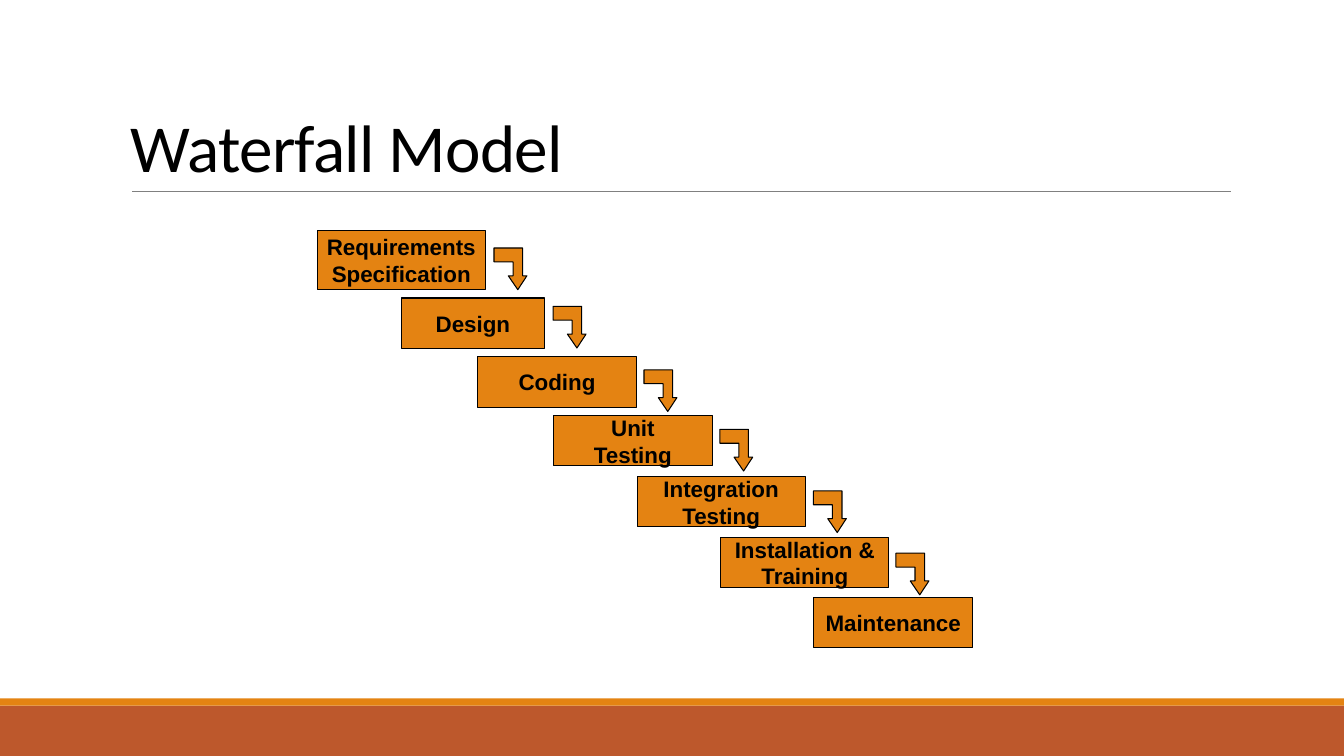
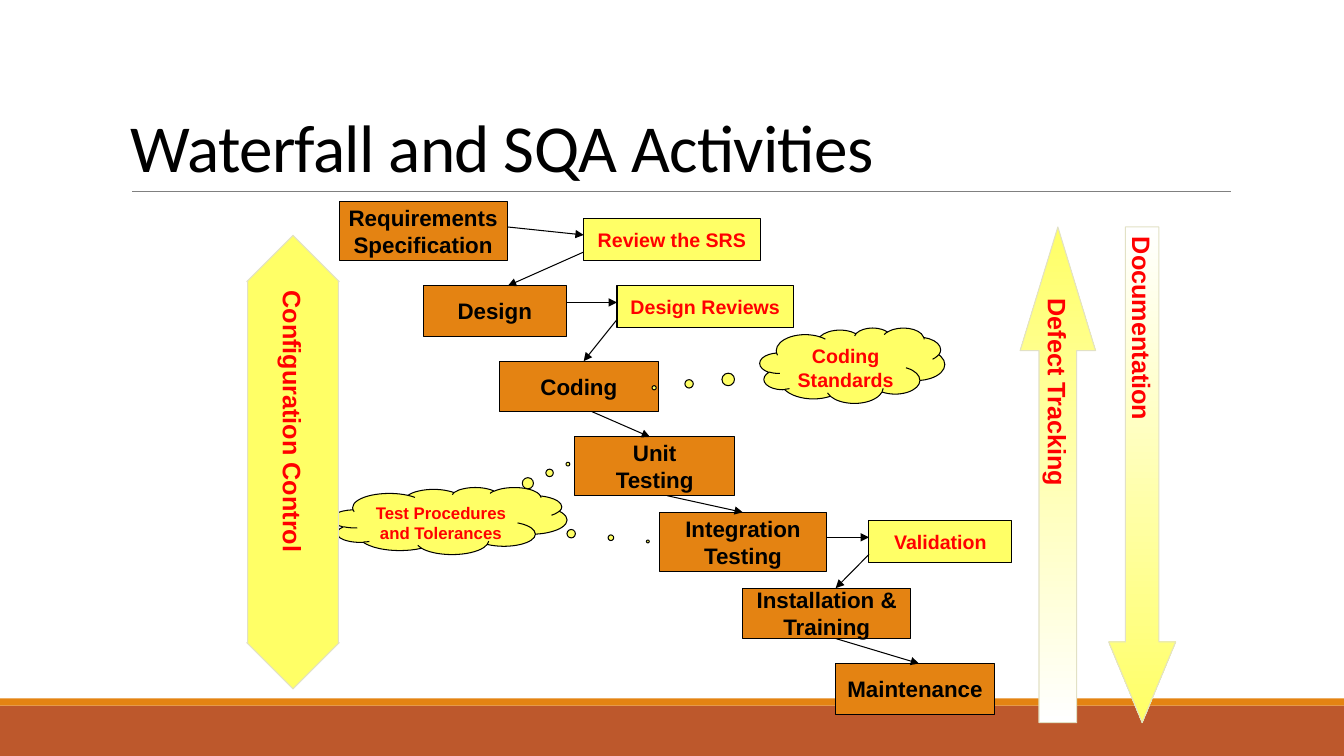
from dataclasses import dataclass
from typing import Optional

from lxml.etree import SubElement
from pptx import Presentation
from pptx.dml.color import RGBColor
from pptx.enum.shapes import MSO_CONNECTOR, MSO_SHAPE as SHAPE
from pptx.enum.text import MSO_ANCHOR as ANCHOR, PP_ALIGN as ALIGN
from pptx.oxml.ns import qn
from pptx.util import Cm, Pt

BLACK = RGBColor(0x00, 0x00, 0x00)
WHITE = RGBColor(0xFF, 0xFF, 0xFF)
GRAY = RGBColor(0x80, 0x80, 0x80)
RED = RGBColor(0xFF, 0x00, 0x00)
ORANGE = RGBColor(0xE4, 0x83, 0x12)
RUST = RGBColor(0xBD, 0x58, 0x2C)
YELLOW = RGBColor(0xFF, 0xFF, 0x66)
PALE = RGBColor(0xE2, 0xE1, 0xC5)

WIDTH, HEIGHT = 33.87, 19.05
LOW, TALL = 1.27, 1.48  # stage box heights


@dataclass(frozen=True)
class Box:
    """A preset shape with its text; lengths in centimetres."""
    left: float
    top: float
    width: float
    height: float
    text: str = ""
    kind: SHAPE = SHAPE.RECTANGLE
    adj: tuple[float, ...] = ()
    size: float = 14
    gradient: Optional[tuple[RGBColor, RGBColor]] = None


@dataclass(frozen=True)
class Stage:
    text: str
    left: float
    width: float


STAGES = [
    Stage("Requirements\nSpecification", 8, 4.23),
    Stage("Design", 10.12, 3.6),
    Stage("Coding", 12.03, 4.02),
    Stage("Unit\nTesting", 13.94, 4.02),
    Stage("Integration\nTesting", 16.06, 4.23),
    Stage("Installation &\nTraining", 18.17, 4.23),
    Stage("Maintenance", 20.5, 4.02),
]

MODEL_ROWS = [(5.82, TALL), (7.51, LOW), (8.99, LOW), (10.47, LOW),
              (12.01, LOW), (13.54, LOW), (15.06, LOW)]
SQA_SHIFT = 0.55
SQA_ROWS = [(5.08, TALL)] + [
    (7.2 + 1.905 * i, h) for i, h in enumerate([LOW, LOW, TALL, TALL, LOW, LOW])]

ELBOW = [(0, 0), (0.72, 0), (0.72, 0.7), (0.83, 0.7), (0.6, 1.05),
         (0.36, 0.7), (0.48, 0.7), (0.48, 0.35), (0, 0.35)]
ELBOW_CORNERS = [(12.45, 6.25), (13.94, 7.72), (16.23, 9.32),
                 (18.14, 10.82), (20.5, 12.37), (22.58, 13.94)]

REVIEWS = [
    Box(14.71, 5.5, 4.45, 1.06, "Review the SRS"),
    Box(15.55, 7.2, 4.45, 1.06, "Design Reviews"),
    Box(21.9, 13.12, 3.6, 1.06, "Validation"),
]
BACK_CLOUD = Box(8.76, 12.49, 4.87, 1.27, kind=SHAPE.CLOUD_CALLOUT, adj=(1.054, 0.41))
CLOUDS = [
    Box(19.15, 8.26, 4.66, 1.9, "Coding\nStandards", SHAPE.CLOUD_CALLOUT,
        (-1.072, 0.296)),
    Box(8.36, 12.28, 5.93, 1.69, "Test Procedures\nand Tolerances",
        SHAPE.CLOUD_CALLOUT, (0.504, -0.846), size=12),
]
SPANS = [
    Box(6.22, 5.93, 2.33, 11.43, "Configuration Control", SHAPE.UP_DOWN_ARROW,
        (0.5, 0.982), 18),
    Box(27.94, 5.72, 1.69, 12.49, "Documentation", SHAPE.DOWN_ARROW,
        (0.5, 1.203), 18, (WHITE, YELLOW)),
    Box(25.71, 5.72, 1.9, 12.49, "Defect Tracking", SHAPE.UP_ARROW,
        (0.5, 1.639), 18, (YELLOW, WHITE)),
]
FLOWS = [
    (12.8, 5.72, 14.71, 5.92), (14.71, 6.35, 12.8, 7.2),
    (14.27, 7.62, 15.55, 7.62), (15.55, 8.05, 14.71, 9.1),
    (14.91, 10.37, 16.38, 11.01), (16.81, 12.49, 18.72, 12.91),
    (20.83, 13.54, 21.9, 13.54), (21.9, 13.97, 21.06, 14.82),
    (21.06, 16.09, 23.16, 16.72),
]


def write(s, text: str, *, size: float, color: RGBColor, font: str = "Arial",
          bold: bool = True, align=ALIGN.CENTER, anchor=ANCHOR.MIDDLE,
          wrap: bool = False, vertical: bool = False,
          spacing: Optional[float] = None, tracking: Optional[int] = None) -> None:
    """Fill a shape with one paragraph per line; tracking in 1/100 pt."""
    tf = s.text_frame
    tf.word_wrap = wrap
    tf.vertical_anchor = anchor
    if vertical:
        tf._txBody.bodyPr.set("vert", "eaVert")
    for i, line in enumerate(text.split("\n")):
        p = tf.add_paragraph() if i else tf.paragraphs[0]
        p.alignment = align
        if spacing:
            p.line_spacing = spacing
        r = p.add_run()
        r.text = line
        r.font.name, r.font.size, r.font.bold = font, Pt(size), bold
        r.font.color.rgb = color
        if tracking:
            r._r.get_or_add_rPr().set("spc", str(tracking))


def paint(s, fill: RGBColor, line: Optional[RGBColor]) -> None:
    s.shadow.inherit = False
    s.fill.solid()
    s.fill.fore_color.rgb = fill
    if line is None:
        s.line.fill.background()
    else:
        s.line.color.rgb = line
        s.line.width = Pt(0.75)


def add_box(slide, box: Box, fill: RGBColor, line: Optional[RGBColor] = BLACK):
    s = slide.shapes.add_shape(box.kind, Cm(box.left), Cm(box.top),
                               Cm(box.width), Cm(box.height))
    for i, value in enumerate(box.adj):
        s.adjustments[i] = value
    paint(s, fill, line)
    if box.gradient:
        s.fill.gradient()
        s.fill.gradient_angle = 270
        for stop, color in zip(s.fill.gradient_stops, box.gradient):
            stop.color.rgb = color
    return s


def add_line(slide, ends: tuple[float, float, float, float], color: RGBColor = BLACK,
             width: float = 0.75, arrow: bool = True) -> None:
    s = slide.shapes.add_connector(MSO_CONNECTOR.STRAIGHT, *map(Cm, ends))
    s.line.color.rgb = color
    s.line.width = Pt(width)
    if arrow:
        SubElement(s.line._get_or_add_ln(), qn("a:tailEnd")).set("type", "triangle")
    SubElement(s._element.spPr, qn("a:effectLst"))


def add_elbow(slide, left: float, top: float) -> None:
    points = [(Cm(left + x), Cm(top + y)) for x, y in ELBOW]
    builder = slide.shapes.build_freeform(*points[0])
    builder.add_line_segments(points[1:], close=True)
    paint(builder.convert_to_shape(), ORANGE, BLACK)


def add_titled_slide(prs, title: str):
    slide = prs.slides.add_slide(prs.slide_layouts[6])
    add_box(slide, Box(0, 17.78, WIDTH, 1.27), RUST, None)
    add_box(slide, Box(0, 17.6, WIDTH, 0.18), ORANGE, None)
    add_line(slide, (3.33, 4.83, 31.01, 4.83), GRAY, 0.5, arrow=False)
    s = slide.shapes.add_textbox(Cm(3.05), Cm(0.79), Cm(27.94), Cm(4.04))
    write(s, title, size=48, color=BLACK, font="Calibri", bold=False, align=ALIGN.LEFT,
          anchor=ANCHOR.BOTTOM, wrap=True, spacing=0.85, tracking=-50)
    return slide


def add_stages(slide, rows: list[tuple[float, float]], shift: float = 0) -> None:
    for stage, (top, height) in zip(STAGES, rows):
        s = add_box(slide, Box(stage.left + shift, top, stage.width, height), ORANGE)
        write(s, stage.text, size=16, color=BLACK)


def build_model(prs) -> None:
    slide = add_titled_slide(prs, "Waterfall Model")
    add_stages(slide, MODEL_ROWS)
    for left, top in ELBOW_CORNERS:
        add_elbow(slide, left, top)


def build_sqa(prs) -> None:
    slide = add_titled_slide(prs, "Waterfall and SQA Activities")
    add_box(slide, BACK_CLOUD, YELLOW)
    add_stages(slide, SQA_ROWS, SQA_SHIFT)
    for box in REVIEWS:
        write(add_box(slide, box, YELLOW), box.text, size=box.size, color=RED)
    for ends in FLOWS:
        add_line(slide, ends)
    for box in CLOUDS:
        write(add_box(slide, box, YELLOW), box.text, size=box.size, color=RED,
              anchor=ANCHOR.TOP, wrap=True)
    for box in SPANS:
        write(add_box(slide, box, YELLOW, PALE), box.text, size=box.size, color=RED,
              vertical=True)


def main() -> None:
    prs = Presentation()
    prs.slide_width, prs.slide_height = Cm(WIDTH), Cm(HEIGHT)
    build_model(prs)
    build_sqa(prs)
    prs.save("out.pptx")


if __name__ == "__main__":
    main()
